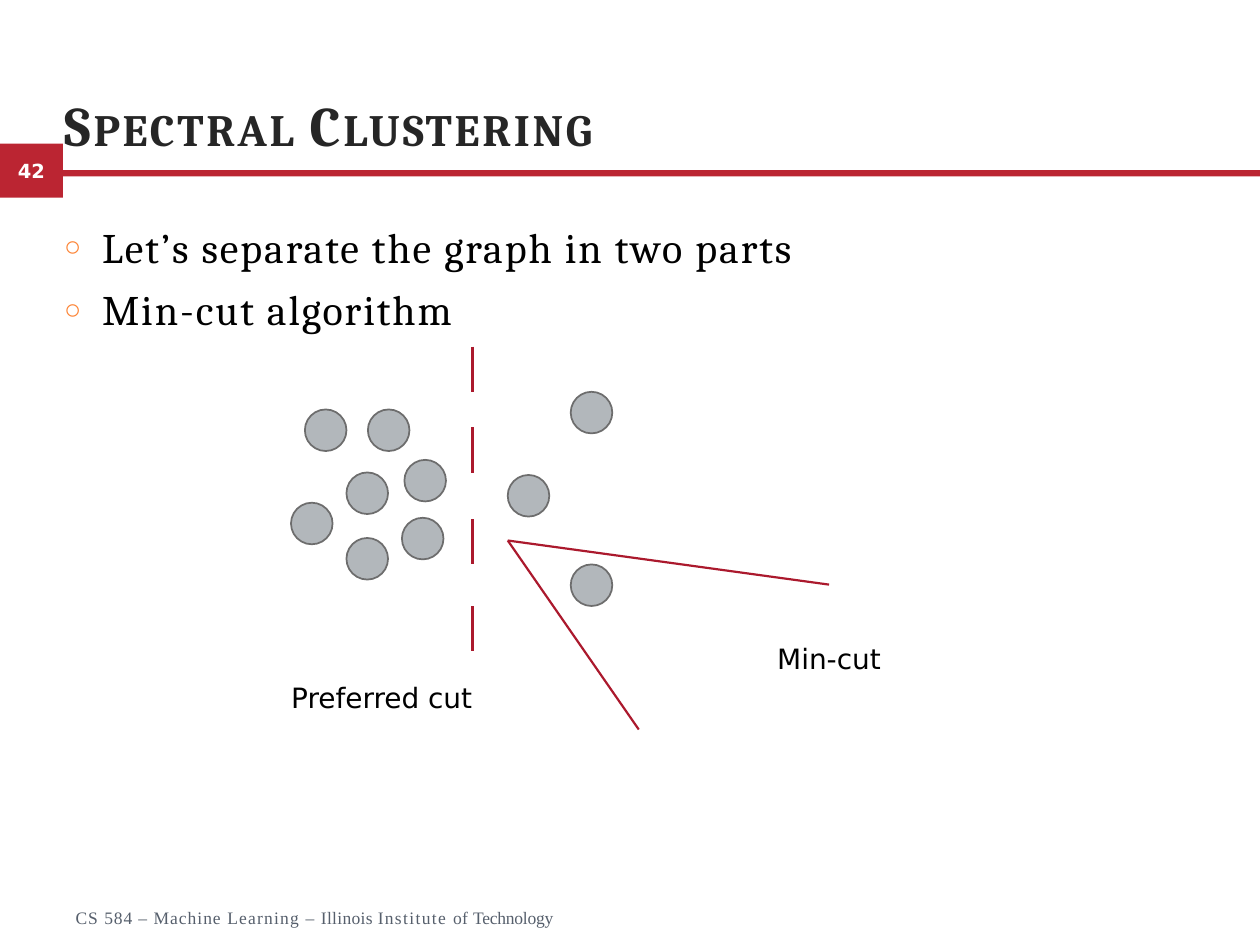
from dataclasses import dataclass

from lxml.etree import SubElement as Sub
from pptx import Presentation
from pptx.dml.color import RGBColor as RGB
from pptx.enum.shapes import MSO_CONNECTOR as Conn, MSO_SHAPE as Kind
from pptx.enum.text import MSO_ANCHOR as Anchor, MSO_AUTO_SIZE as Auto, PP_ALIGN as Align
from pptx.oxml.ns import qn
from pptx.util import Inches, Pt


@dataclass(frozen=True)
class Theme:
    serif: str = "Cambria"
    sans: str = "DejaVu Sans"
    roman: str = "Times New Roman"
    band: str = "BB2532"
    cut: str = "AB192D"
    node: str = "B2B7BB"
    rim: str = "6D6D6D"
    ink: str = "000000"
    head: str = "262626"
    foot: str = "565F6C"
    mark: str = "FD8537"
    white: str = "FFFFFF"
    title: float = 32
    body: float = 24
    label: float = 16
    number: float = 11.1
    small: float = 10


T = Theme()


def color(code):
    return RGB.from_string(code)


def place(shape, box):
    shape.left, shape.top, shape.width, shape.height = map(Inches, box)


def write(para, text, face, size, code, space=0, bold=False):
    run = para.add_run()
    run.text = text
    font = run.font
    font.name, font.size, font.bold = face, Pt(size), bold
    font.color.rgb = color(code)
    if space:
        run._r.get_or_add_rPr().set("spc", str(round(space * 100)))
    return run


def inset(frame, top=0):
    frame.margin_left = frame.margin_right = frame.margin_bottom = 0
    frame.margin_top = Inches(top)
    frame.word_wrap = True
    frame.auto_size = Auto.SHAPE_TO_FIT_TEXT


def indent(para, left, first):
    props = para._p.get_or_add_pPr()
    props.set("marL", str(Inches(left)))
    props.set("indent", str(Inches(first)))
    return props


def solid(slide, kind, box, fill, rim=None):
    shape = slide.shapes.add_shape(kind, *map(Inches, box))
    shape.shadow.inherit = False
    shape.fill.solid()
    shape.fill.fore_color.rgb = color(fill)
    if rim:
        shape.line.color.rgb = color(rim)
        shape.line.width = Pt(1)
    else:
        shape.line.fill.background()
    return shape


def stroke(slide, start, end):
    line = slide.shapes.add_connector(Conn.STRAIGHT, *map(Inches, (*start, *end)))
    line.line.color.rgb = color(T.cut)
    line.line.width = Pt(1.25)
    Sub(line._element.spPr, qn("a:effectLst"))


def label(slide, text, mid, top, width):
    box = (mid - width / 2, top, width, 0.38)
    frame = slide.shapes.add_textbox(*map(Inches, box)).text_frame
    frame.word_wrap = False
    para = frame.paragraphs[0]
    para.alignment = Align.CENTER
    write(para, text, T.sans, T.label, T.ink)


def add_band(slide, box, number):
    x, y, w, h = box
    tab = 0.5
    badge = solid(slide, Kind.RECTANGLE, (x, y, tab, h), T.band)
    solid(slide, Kind.RECTANGLE, (x + tab, y + 0.21, w - tab, 0.05), T.band)
    frame = badge.text_frame
    frame.vertical_anchor = Anchor.MIDDLE
    para = frame.paragraphs[0]
    para.alignment = Align.CENTER
    write(para, number, T.sans, T.number, T.white, bold=True)


def add_title(slide, box, text):
    shape = slide.shapes.title
    place(shape, box)
    frame = shape.text_frame
    inset(frame, 0.01)
    frame.vertical_anchor = Anchor.BOTTOM
    para = frame.paragraphs[0]
    para.alignment = Align.LEFT
    indent(para, 0.01, 0)
    run = write(para, text, T.serif, T.title, T.head, 1.6, True)
    run._r.get_or_add_rPr().set("cap", "small")


def add_list(slide, box, items):
    shape = slide.placeholders[1]
    place(shape, box)
    frame = shape.text_frame
    inset(frame, 0.01)
    for i, text in enumerate(items):
        para = frame.add_paragraph() if i else frame.paragraphs[0]
        props = indent(para, 0.31, -0.3)
        Sub(Sub(props, qn("a:buClr")), qn("a:srgbClr"), val=T.mark)
        Sub(props, qn("a:buSzPct"), val="68000")
        Sub(props, qn("a:buChar"), char="○")
        tabs = Sub(props, qn("a:tabLst"))
        Sub(tabs, qn("a:tab"), pos=str(Inches(0.31)), algn="l")
        para.line_spacing = 1.2
        para.space_before = Pt(1 if i else 0)
        write(para, text, T.serif, T.body, T.ink, 1.1)


def add_graph(slide, box):
    x, y, w, h = box
    size, dash, cut = 0.33, 0.36, x + 1.44
    nodes = [(0.11, 0.5), (0.44, 1), (0, 1.24), (0.44, 1.52), (0.88, 1.36),
             (0.9, 0.9), (0.61, 0.5), (2.22, 1.73), (1.72, 1.02), (2.22, 0.36)]
    for dx, dy in nodes:
        solid(slide, Kind.OVAL, (x + dx, y + dy, size, size), T.node, T.rim)
    for dy in (0, 0.64, 1.37, 2.06):
        stroke(slide, (cut, y + dy), (cut, y + dy + dash))
    tip = (x + 1.72, y + 1.54)
    stroke(slide, tip, (x + 4.27, y + 1.89))
    stroke(slide, tip, (x + 2.76, y + h))
    label(slide, "Min-cut", x + w - 0.5, y + 2.29, 1.2)
    label(slide, "Preferred cut", x + 0.72, y + 2.6, 1.8)


def add_footer(slide, box):
    frame = slide.shapes.add_textbox(*map(Inches, box)).text_frame
    inset(frame)
    para = frame.paragraphs[0]
    indent(para, 0.01, 0)
    parts = [("CS ", 0.6), ("584 ", 0.5), ("– Machine ", 0.6), ("Learning ", 0.7),
             ("– ", 0.6), ("Illinois ", 0.2), ("Institute ", 0.8), ("of ", 0.2),
             ("Technology", -0.1)]
    for text, space in parts:
        write(para, text, T.roman, T.small, T.foot, space)


def main():
    deck = Presentation()
    deck.slide_width, deck.slide_height = Inches(10), Inches(7.5)
    slide = deck.slides.add_slide(deck.slide_layouts[1])
    add_band(slide, (0, 1.14, 10, 0.43), "42")
    add_title(slide, (0.5, 0.7, 9, 0.55), "Spectral Clustering")
    add_footer(slide, (0.59, 7.2, 3.94, 0.2))
    add_list(slide, (0.5, 1.67, 9.13, 0.95),
             ["Let’s separate the graph in two parts", "Min-cut algorithm"])
    add_graph(slide, (2.31, 2.75, 4.77, 3.04))
    deck.save("out.pptx")


if __name__ == "__main__":
    main()
